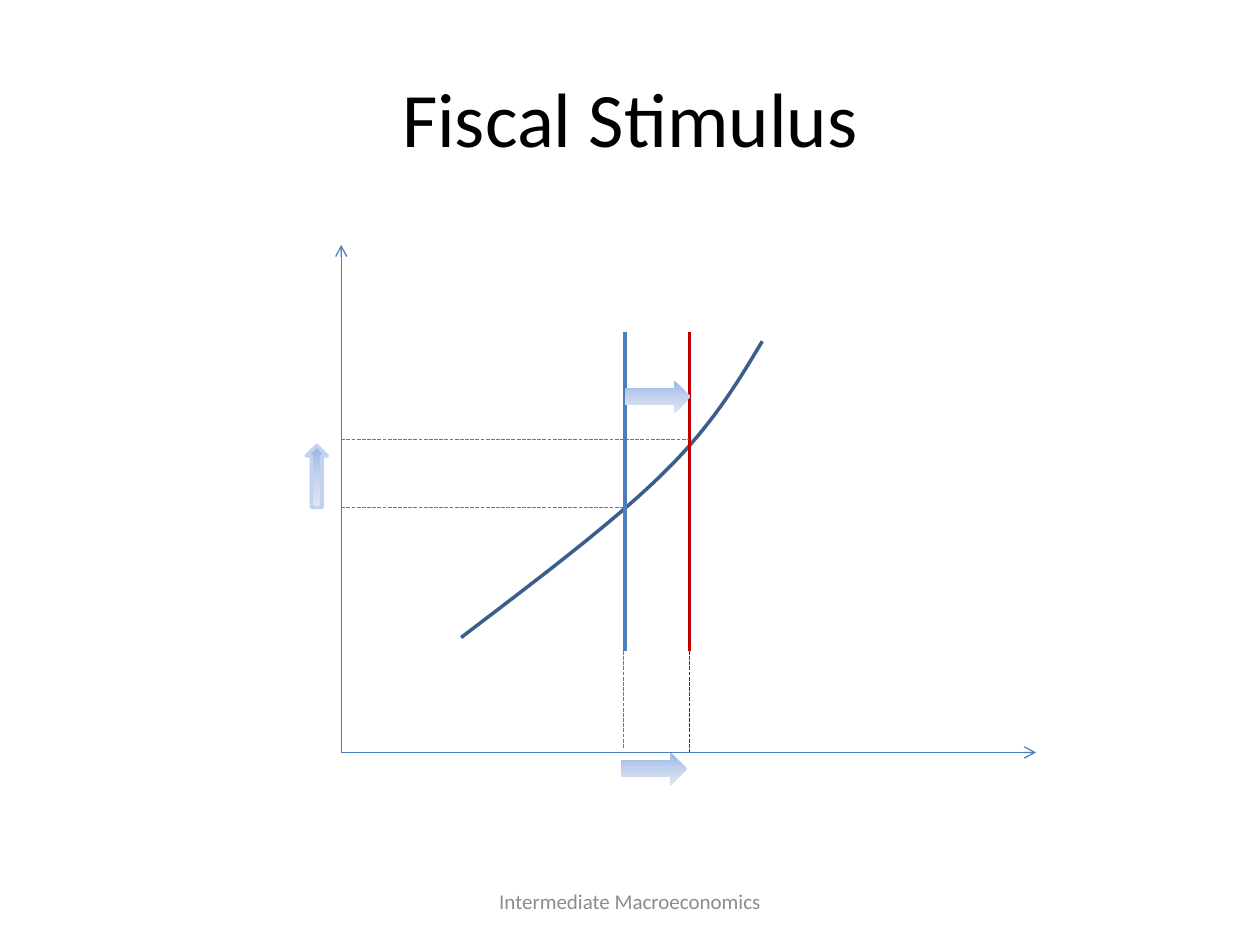
from copy import deepcopy

from pptx import Presentation
from pptx.dml.color import RGBColor
from pptx.enum.dml import MSO_LINE
from pptx.enum.shapes import MSO_CONNECTOR, MSO_SHAPE
from pptx.enum.text import MSO_ANCHOR, PP_ALIGN
from pptx.oxml.ns import qn
from pptx.util import Pt
from lxml.etree import SubElement

BLACK = RGBColor(0x00, 0x00, 0x00)
GRAY = RGBColor(0x8C, 0x8C, 0x8C)
BLUE = RGBColor(0x4B, 0x7E, 0xBC)
NAVY = RGBColor(0x3A, 0x5F, 0x8C)
RED = RGBColor(0xC0, 0x00, 0x00)
PALE = RGBColor(0xC2, 0xD1, 0xED)
SHADES = [RGBColor(0x9A, 0xB5, 0xE4), PALE, RGBColor(0xE1, 0xE8, 0xF5)]

# Graph positions in points
LEFT, BASE = 195, 430          # origin of the axes
OLD, NEW = 357, 394            # vertical lines before and after the shift
TOP, FOOT = 189.5, 372         # ends of the vertical lines
LOW, HIGH = 290, 251           # levels before and after the shift
CURVE = [
    [(435.6, 195), (421.2, 219), (406.8, 243.4), (378, 271.4)],
    [(378, 271.4), (349.2, 299.5), (306, 331.9), (263.5, 364.3)],
]


def write(shape, text, size, color):
    frame = shape.text_frame
    frame.text = text
    frame.word_wrap = True
    frame.vertical_anchor = MSO_ANCHOR.MIDDLE
    para = frame.paragraphs[0]
    para.alignment = PP_ALIGN.CENTER
    font = para.runs[0].font
    font.name, font.size = "Calibri", Pt(size)
    font.color.rgb = color


def place(shape, x, y, width, height):
    shape.left, shape.top = Pt(x), Pt(y)
    shape.width, shape.height = Pt(width), Pt(height)


def line(slide, start, end, color=BLUE, width=0.75, dash=False, arrow=False):
    link = slide.shapes.add_connector(
        MSO_CONNECTOR.STRAIGHT, *map(Pt, start + end))
    link.line.color.rgb = color
    link.line.width = Pt(width)
    if dash:
        link.line.dash_style = MSO_LINE.SQUARE_DOT
    if arrow:
        SubElement(link.line._get_or_add_ln(), qn("a:tailEnd"), type="arrow")
    SubElement(link._element.spPr, qn("a:effectLst"))


def bezier(points, t):
    weights = [(1 - t) ** 3, 3 * t * (1 - t) ** 2, 3 * t * t * (1 - t), t ** 3]
    return tuple(Pt(sum(w * p[i] for w, p in zip(weights, points)))
                 for i in (0, 1))


def curve(slide, parts, steps=24):
    dots = [bezier(part, n / steps) for part in parts
            for n in range(steps + 1)]
    pen = slide.shapes.build_freeform(*dots[0])
    pen.add_line_segments(dots[1:], close=False)
    shape = pen.convert_to_shape()
    shape.shadow.inherit = False
    shape.fill.background()
    shape.line.color.rgb = NAVY
    shape.line.width = Pt(2)


def block(slide, kind, x, y, width, height, edge=None):
    shape = slide.shapes.add_shape(kind, Pt(x), Pt(y), Pt(width), Pt(height))
    shape.shadow.inherit = False
    # Three-stop fill running from top to bottom
    shape.fill.gradient()
    shape.fill.gradient_angle = 270
    stops = shape._element.spPr.find(qn("a:gradFill")).find(qn("a:gsLst"))
    stops.insert(1, deepcopy(stops[0]))
    for n, (stop, color) in enumerate(zip(shape.fill.gradient_stops, SHADES)):
        stop.position = n / 2
        stop.color.rgb = color
    if edge:
        shape.line.color.rgb = edge
        shape.line.width = Pt(2)
    else:
        shape.line.fill.background()


def main():
    deck = Presentation()
    deck.slide_width, deck.slide_height = Pt(720), Pt(540)
    slide = deck.slides.add_slide(deck.slide_layouts[5])

    # Title and footer
    title = slide.shapes.title
    place(title, 36, 21.6, 648, 90)
    write(title, "Fiscal Stimulus", 44, BLACK)
    foot = slide.shapes.add_textbox(Pt(246), Pt(500.5), Pt(228), Pt(28.75))
    write(foot, "Intermediate Macroeconomics", 12, GRAY)

    # Axes
    line(slide, (LEFT, BASE), (592, BASE), arrow=True)
    line(slide, (LEFT, BASE), (LEFT, 140), arrow=True)

    # Curve and the vertical lines that cross it
    curve(slide, CURVE)
    line(slide, (LEFT, LOW), (OLD, LOW), dash=True)
    line(slide, (OLD, TOP), (OLD, FOOT), width=2)
    line(slide, (OLD - 0.5, FOOT), (OLD - 0.5, 428), dash=True)
    line(slide, (NEW, TOP), (NEW, FOOT), RED, width=2)
    line(slide, (LEFT, HIGH), (NEW, HIGH), dash=True)

    # Block arrows for the shifts
    block(slide, MSO_SHAPE.RIGHT_ARROW, 355, BASE, 37.5, 18.5)
    block(slide, MSO_SHAPE.UP_ARROW, 175, 254.5, 12, 35.5, PALE)
    line(slide, (NEW, FOOT), (NEW, BASE), RED, dash=True)
    block(slide, MSO_SHAPE.RIGHT_ARROW, OLD, 217.5, 37.5, 18.5)

    deck.save("out.pptx")


if __name__ == "__main__":
    main()
